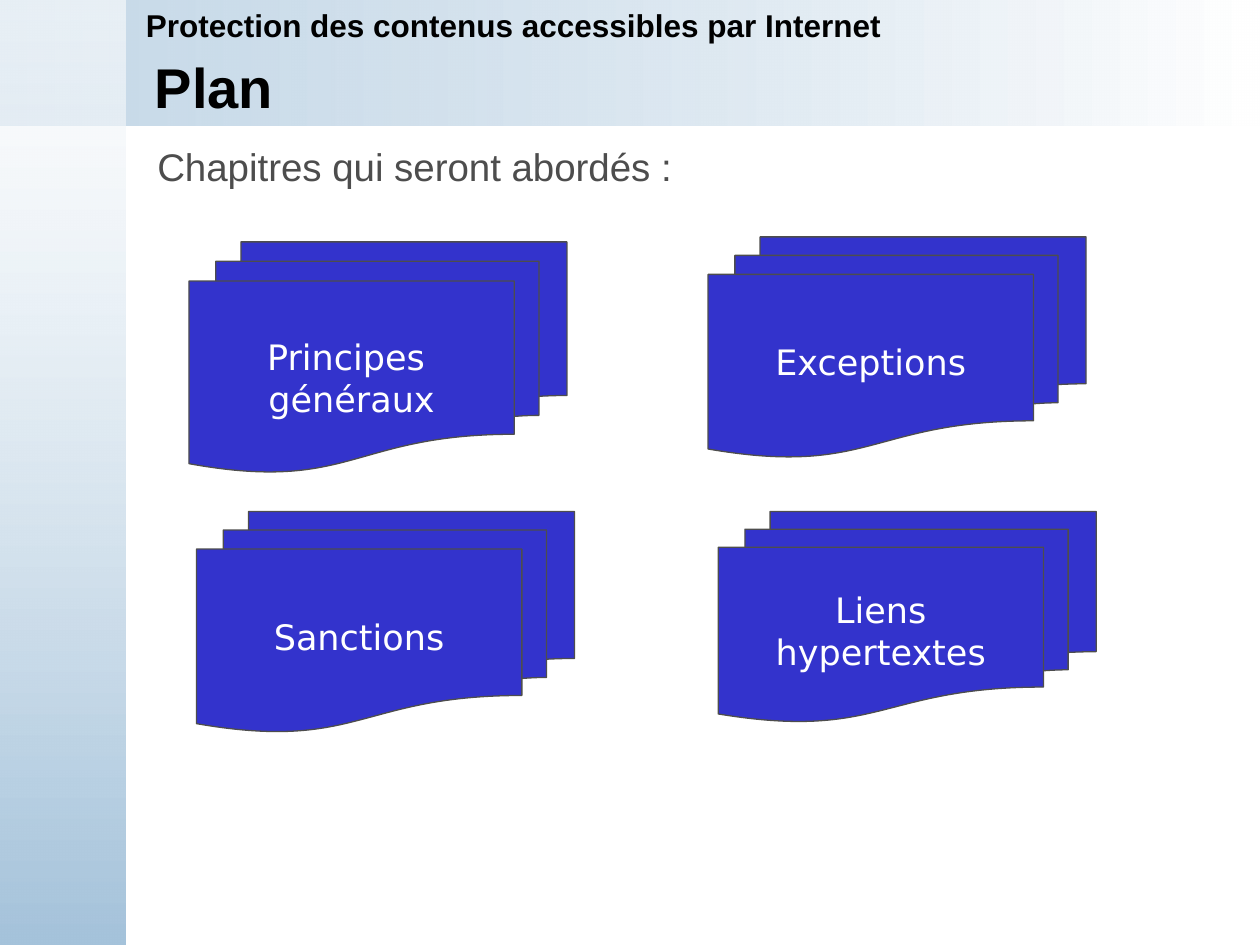
import pptx
import pptx.util
from lxml import etree
from pptx.dml.color import RGBColor
from pptx.enum.shapes import MSO_SHAPE
from pptx.enum.text import MSO_ANCHOR, PP_ALIGN
from pptx.oxml.ns import qn

# Grid of square cells: 10 columns by 7.5 rows
CELL = pptx.util.Inches(1)
COLS, ROWS = 10, 7.5

BLACK = RGBColor(0x00, 0x00, 0x00)
GREY = RGBColor(0x4D, 0x4D, 0x4D)
WHITE = RGBColor(0xFF, 0xFF, 0xFF)
PALE_BLUE = RGBColor(0xA5, 0xC3, 0xDB)
BLUE = RGBColor(0x33, 0x33, 0xCC)

# Chapter lines, column, row, height and extra top margin, in cells
CHAPTERS = [
    (["Liens", "hypertextes"], 5.7, 4.06, 1.67, 0),
    (["Principes ", "généraux"], 1.5, 1.92, 1.83, 0.08),
    (["Exceptions"], 5.62, 1.88, 1.75, 0),
    (["Sanctions"], 1.56, 4.06, 1.75, 0),
]
CHAPTER_WIDTH = 3


def cells(*lengths):
    return [int(n * CELL) for n in lengths]


def write(tf, lines, size, font, color, bold=False, align=PP_ALIGN.LEFT):
    tf.vertical_anchor = MSO_ANCHOR.MIDDLE
    for i, line in enumerate(lines):
        p = tf.paragraphs[0] if i == 0 else tf.add_paragraph()
        p.text = line
        p.alignment = align
        p.font.size = pptx.util.Pt(size)
        p.font.name = font
        p.font.bold = bold
        p.font.color.rgb = color


def add_band(s, width, height, angle, start, end, opacity):
    """Gradient band whose first colour is partly transparent."""
    sp = s.shapes.add_shape(MSO_SHAPE.RECTANGLE, *cells(0, 0, width, height))
    sp.shadow.inherit = False
    sp.line.fill.background()
    sp.fill.gradient()
    sp.fill.gradient_angle = angle
    for stop, color, position in zip(sp.fill.gradient_stops, (start, end), (0, 1)):
        stop.color.rgb = color
        stop.position = position
    first = next(sp.fill._xPr.iter(qn("a:srgbClr")))
    etree.SubElement(first, qn("a:alpha"), val=str(opacity * 1000))


def add_text(s, text, col, row, width, height, size, color, bold=False):
    sp = s.shapes.add_textbox(*cells(col, row, width, height))
    sp.text_frame.word_wrap = True
    write(sp.text_frame, [text], size, "Arial", color, bold)


def add_chapter(s, lines, col, row, height, drop):
    sp = s.shapes.add_shape(MSO_SHAPE.FLOWCHART_MULTIDOCUMENT,
                            *cells(col, row, CHAPTER_WIDTH, height))
    sp.shadow.inherit = False
    sp.fill.solid()
    sp.fill.fore_color.rgb = BLUE
    sp.line.color.rgb = GREY
    sp.line.width = pptx.util.Pt(0.75)
    tf = sp.text_frame
    tf.word_wrap = False
    tf.margin_top = int((0.05 + drop) * CELL)
    write(tf, lines, 20, "DejaVu Sans", WHITE, align=PP_ALIGN.CENTER)


def main():
    prs = pptx.Presentation()
    prs.slide_width, prs.slide_height = cells(COLS, ROWS)
    s = prs.slides.add_slide(prs.slide_layouts[6])

    # Header and side bands
    add_band(s, COLS, 1, 0, PALE_BLUE, WHITE, 62)
    add_band(s, 1, ROWS, 270, WHITE, PALE_BLUE, 59)

    # Title, introduction and course heading
    add_text(s, "Plan", 1.13, 0.44, 8.45, 0.49, 32, BLACK, bold=True)
    add_text(s, "Chapitres qui seront abordés :", 1.15, 1.08, 8.33, 0.47, 22, GREY)
    add_text(s, "Protection des contenus accessibles par Internet",
             1.06, 0, 8.94, 0.4, 18, BLACK, bold=True)

    # Chapters
    for chapter in CHAPTERS:
        add_chapter(s, *chapter)

    prs.save("out.pptx")


if __name__ == "__main__":
    main()
